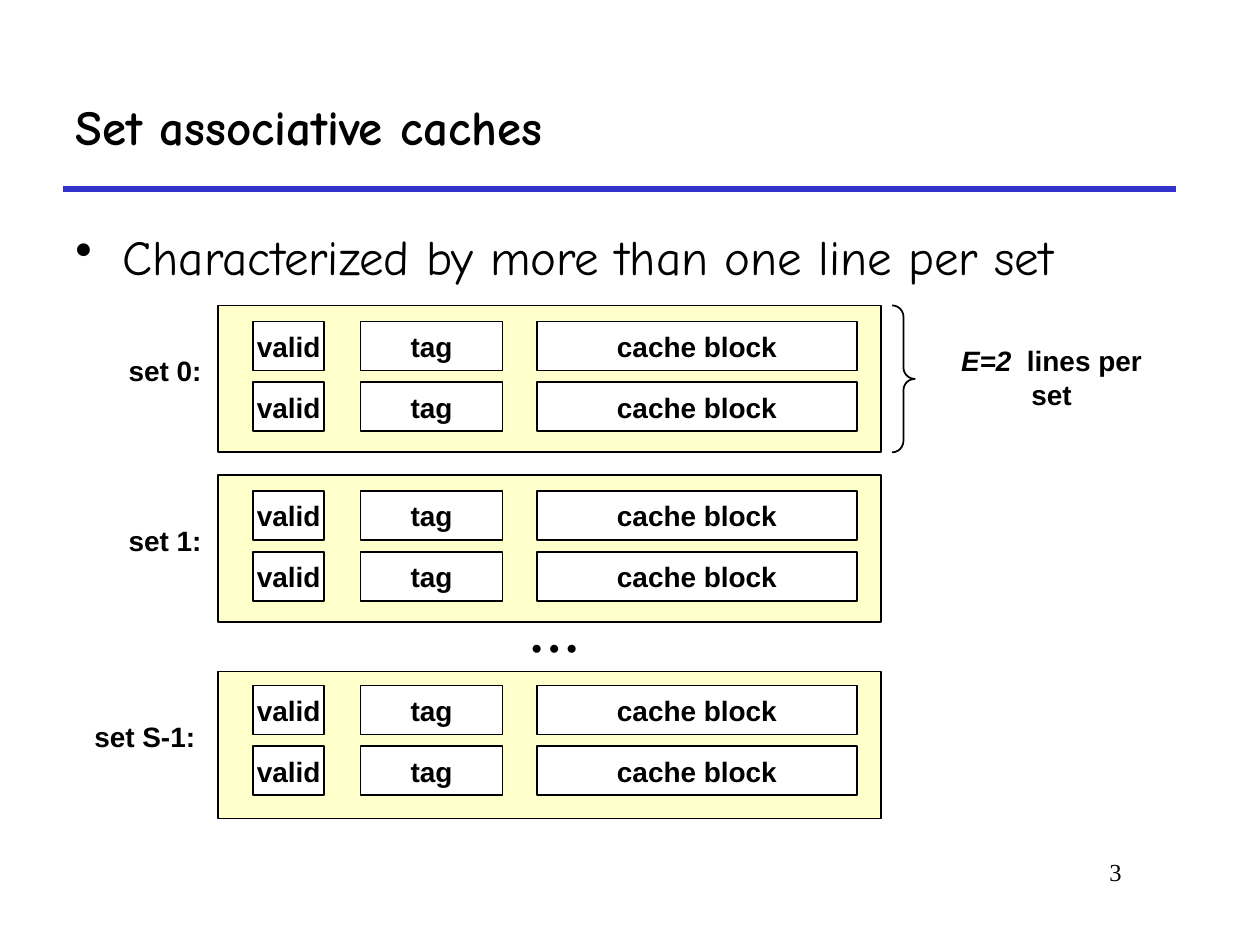
from dataclasses import dataclass

from lxml.etree import SubElement
from pptx import Presentation
from pptx.dml.color import RGBColor
from pptx.enum.shapes import MSO_CONNECTOR, MSO_SHAPE
from pptx.enum.text import MSO_ANCHOR, PP_ALIGN
from pptx.oxml.ns import qn
from pptx.shapes.autoshape import Shape
from pptx.slide import Slide
from pptx.util import Pt


@dataclass(frozen=True)
class Theme:
    ink: RGBColor = RGBColor(0x00, 0x00, 0x00)
    paper: RGBColor = RGBColor(0xFF, 0xFF, 0xFF)
    set_fill: RGBColor = RGBColor(0xFF, 0xFF, 0x99)
    rule: RGBColor = RGBColor(0x33, 0x33, 0xCC)
    heading_font: str = "Comic Neue"
    diagram_font: str = "Arial"
    number_font: str = "Times New Roman"
    heading_size: float = 28
    diagram_size: float = 16
    number_size: float = 14


@dataclass(frozen=True)
class Frame:
    left: float
    top: float
    width: float
    height: float

    def lengths(self) -> tuple[Pt, Pt, Pt, Pt]:
        return Pt(self.left), Pt(self.top), Pt(self.width), Pt(self.height)


@dataclass(frozen=True)
class Field:
    name: str
    left: float
    width: float


@dataclass(frozen=True)
class CacheSet:
    label: str
    label_left: float
    label_width: float
    top: float
    first_line_offset: float


THEME = Theme()
SET_LEFT, SET_WIDTH, SET_HEIGHT = 124.5, 379, 84
LINES_PER_SET, LINE_PITCH, LINE_HEIGHT = 2, 34.75, 28
LABEL_OFFSET, LABEL_HEIGHT = 24, 26.5

FIELDS = [
    Field("valid", 144.75, 40.5),
    Field("tag", 206, 81.25),
    Field("cache block", 306.75, 183),
]
CACHE_SETS = [
    CacheSet("set 0:", 66.25, 56.25, 174.5, 9.25),
    CacheSet("set 1:", 66.25, 56.25, 271.5, 9.25),
    CacheSet("set S-1:", 46.75, 72, 383.75, 8),
]


def write(box: Shape, text: str, font: str, size: float, bold: bool = False,
          align: PP_ALIGN = PP_ALIGN.LEFT, anchor: MSO_ANCHOR = MSO_ANCHOR.TOP,
          wrap: bool = True) -> None:
    frame = box.text_frame
    frame.text = text
    frame.word_wrap = wrap
    frame.vertical_anchor = anchor
    para = frame.paragraphs[0]
    para.alignment = align
    for span in para.runs:
        span.font.name = font
        span.font.size = Pt(size)
        span.font.bold = bold
        span.font.color.rgb = THEME.ink


def write_diagram_text(box: Shape, text: str) -> None:
    write(box, text, THEME.diagram_font, THEME.diagram_size, bold=True,
          align=PP_ALIGN.CENTER, anchor=MSO_ANCHOR.MIDDLE, wrap=False)


def add_text(page: Slide, frame: Frame) -> Shape:
    return page.shapes.add_textbox(*frame.lengths())


def add_rectangle(page: Slide, frame: Frame, fill: RGBColor) -> Shape:
    box = page.shapes.add_shape(MSO_SHAPE.RECTANGLE, *frame.lengths())
    box.shadow.inherit = False
    box.fill.solid()
    box.fill.fore_color.rgb = fill
    box.line.color.rgb = THEME.ink
    box.line.width = Pt(1)
    return box


def add_heading(page: Slide) -> None:
    rule = page.shapes.add_connector(
        MSO_CONNECTOR.STRAIGHT, Pt(36), Pt(108), Pt(672), Pt(108))
    rule.line.color.rgb = THEME.rule
    rule.line.width = Pt(3)
    SubElement(rule._element.spPr, qn("a:effectLst"))
    title = add_text(page, Frame(36, 36, 636, 72))
    write(title, "Set associative caches", THEME.heading_font,
          THEME.heading_size, bold=True, anchor=MSO_ANCHOR.MIDDLE)


def add_bullet(page: Slide) -> None:
    body = add_text(page, Frame(36, 126, 654, 48))
    write(body, "Characterized by more than one line per set",
          THEME.heading_font, THEME.heading_size)
    para = body.text_frame.paragraphs[0]
    para.space_before = Pt(7)
    properties = para._p.get_or_add_pPr()
    properties.set("marL", str(Pt(27)))
    properties.set("indent", str(-Pt(27)))
    color = SubElement(properties, qn("a:buClr"))
    SubElement(color, qn("a:srgbClr"), val=str(THEME.ink))
    SubElement(properties, qn("a:buChar"), char="•")


def add_cache_set(page: Slide, cache_set: CacheSet) -> None:
    outline = add_rectangle(
        page, Frame(SET_LEFT, cache_set.top, SET_WIDTH, SET_HEIGHT), THEME.set_fill)
    color = outline._element.spPr.find(qn("a:solidFill")).find(qn("a:srgbClr"))
    SubElement(color, qn("a:alpha"), val="50000")
    label = add_text(page, Frame(cache_set.label_left, cache_set.top + LABEL_OFFSET,
                                 cache_set.label_width, LABEL_HEIGHT))
    write_diagram_text(label, cache_set.label)
    for line in range(LINES_PER_SET):
        top = cache_set.top + cache_set.first_line_offset + line * LINE_PITCH
        for field in FIELDS:
            cell = add_rectangle(
                page, Frame(field.left, top, field.width, LINE_HEIGHT), THEME.paper)
            write_diagram_text(cell, field.name)


def add_brace(page: Slide, top: float) -> None:
    brace = page.shapes.add_shape(
        MSO_SHAPE.RIGHT_BRACE, *Frame(509.75, top, 13, SET_HEIGHT).lengths())
    brace.adjustments[0] = 0.5
    brace.shadow.inherit = False
    brace.fill.background()
    brace.line.color.rgb = THEME.ink
    brace.line.width = Pt(1)
    caption = add_text(page, Frame(528.5, 202.5, 144.75, LABEL_HEIGHT))
    write_diagram_text(caption, "E=2")
    para = caption.text_frame.paragraphs[0]
    para.runs[0].font.italic = True
    span = para.add_run()
    span.text = "  lines per set"
    span.font.name = THEME.diagram_font
    span.font.size = Pt(THEME.diagram_size)
    span.font.bold = True
    span.font.color.rgb = THEME.ink


def main() -> None:
    deck = Presentation()
    deck.slide_width, deck.slide_height = Pt(720), Pt(540)
    page = deck.slides.add_slide(deck.slide_layouts[6])
    add_heading(page)
    add_bullet(page)
    for cache_set in CACHE_SETS:
        add_cache_set(page, cache_set)
    add_brace(page, CACHE_SETS[0].top)
    write_diagram_text(add_text(page, Frame(286.5, 355.75, 60.5, 28)), "• • •")
    write(add_text(page, Frame(546, 486, 102, 36)), "3", THEME.number_font,
          THEME.number_size, align=PP_ALIGN.RIGHT)
    deck.save("out.pptx")


if __name__ == "__main__":
    main()
